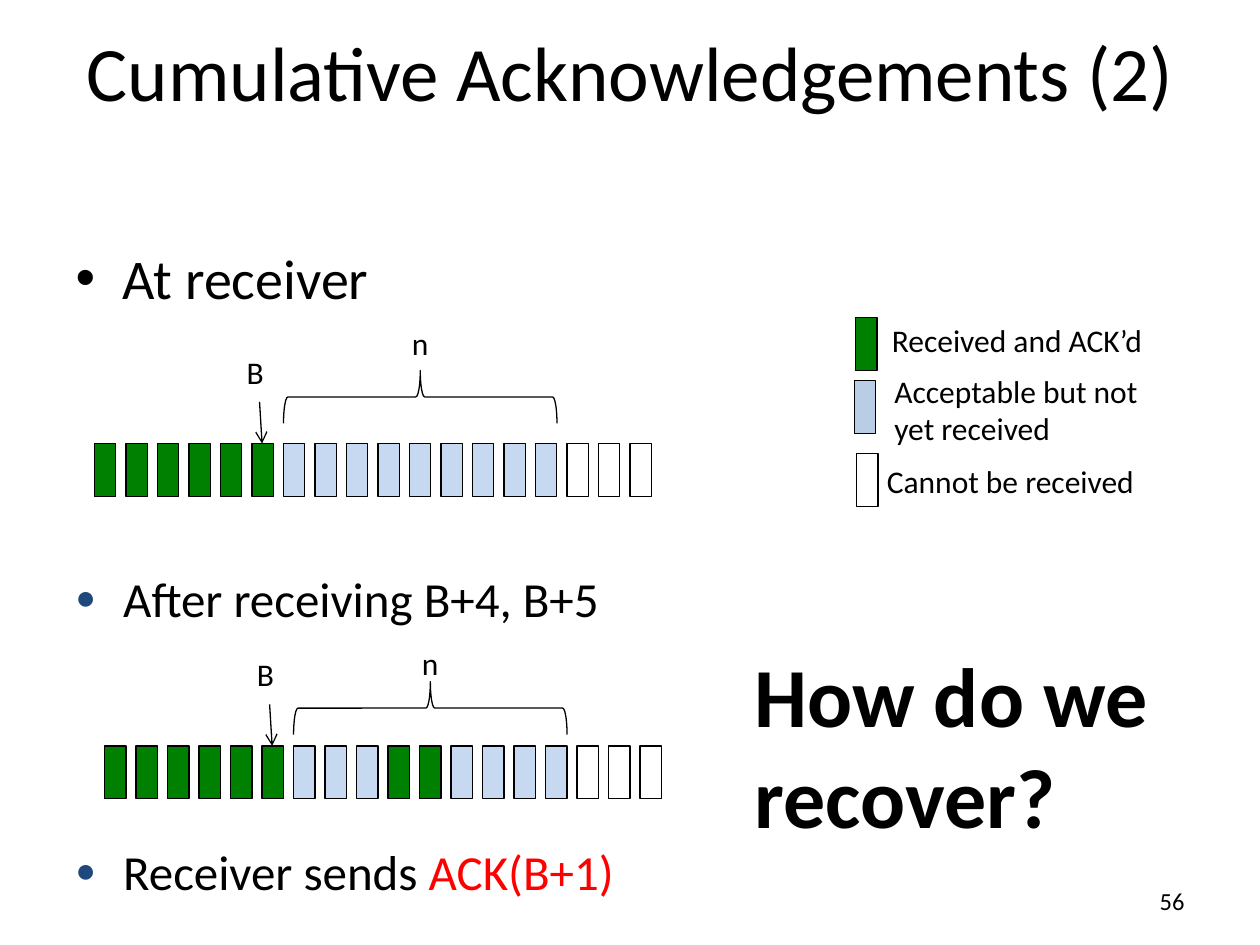
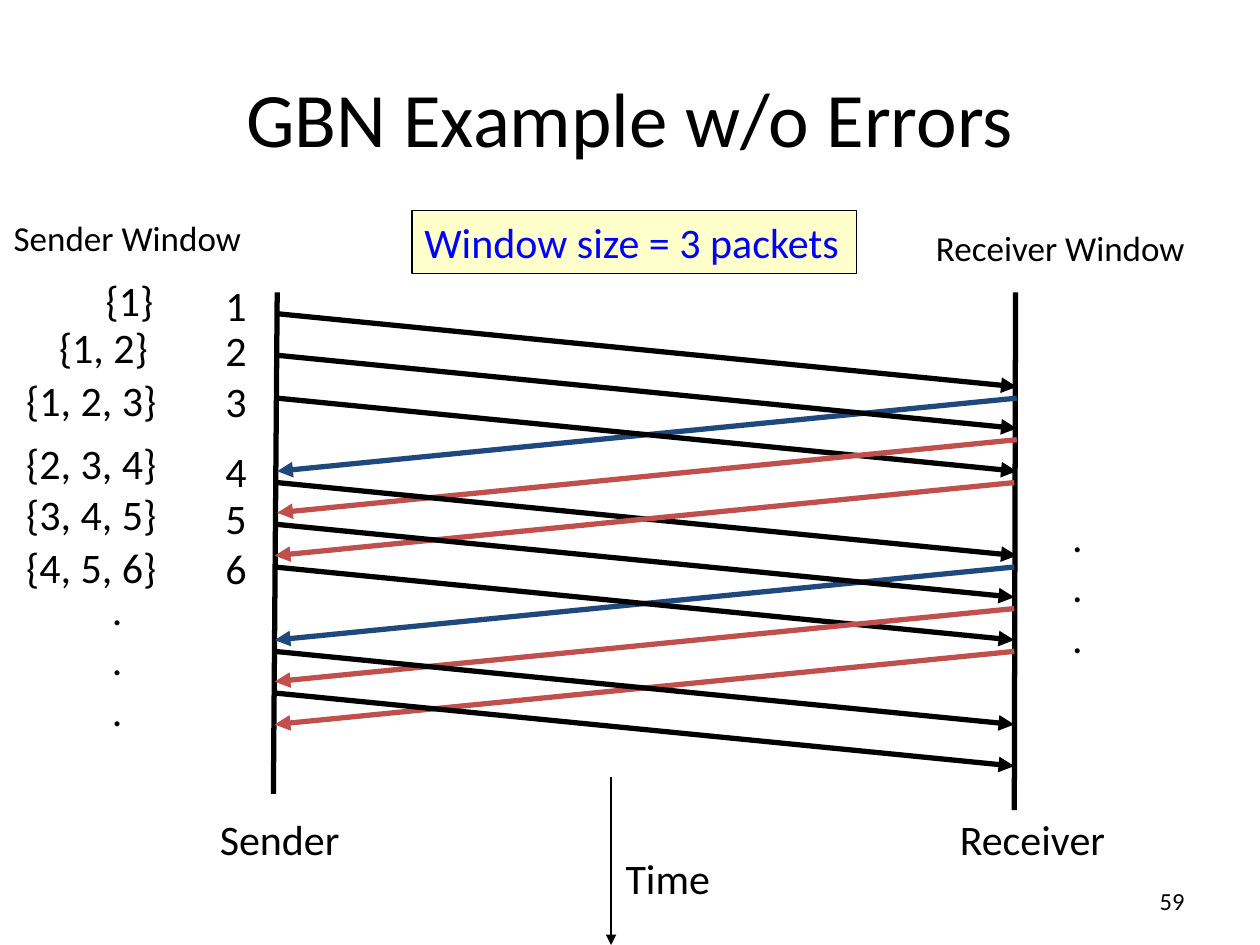
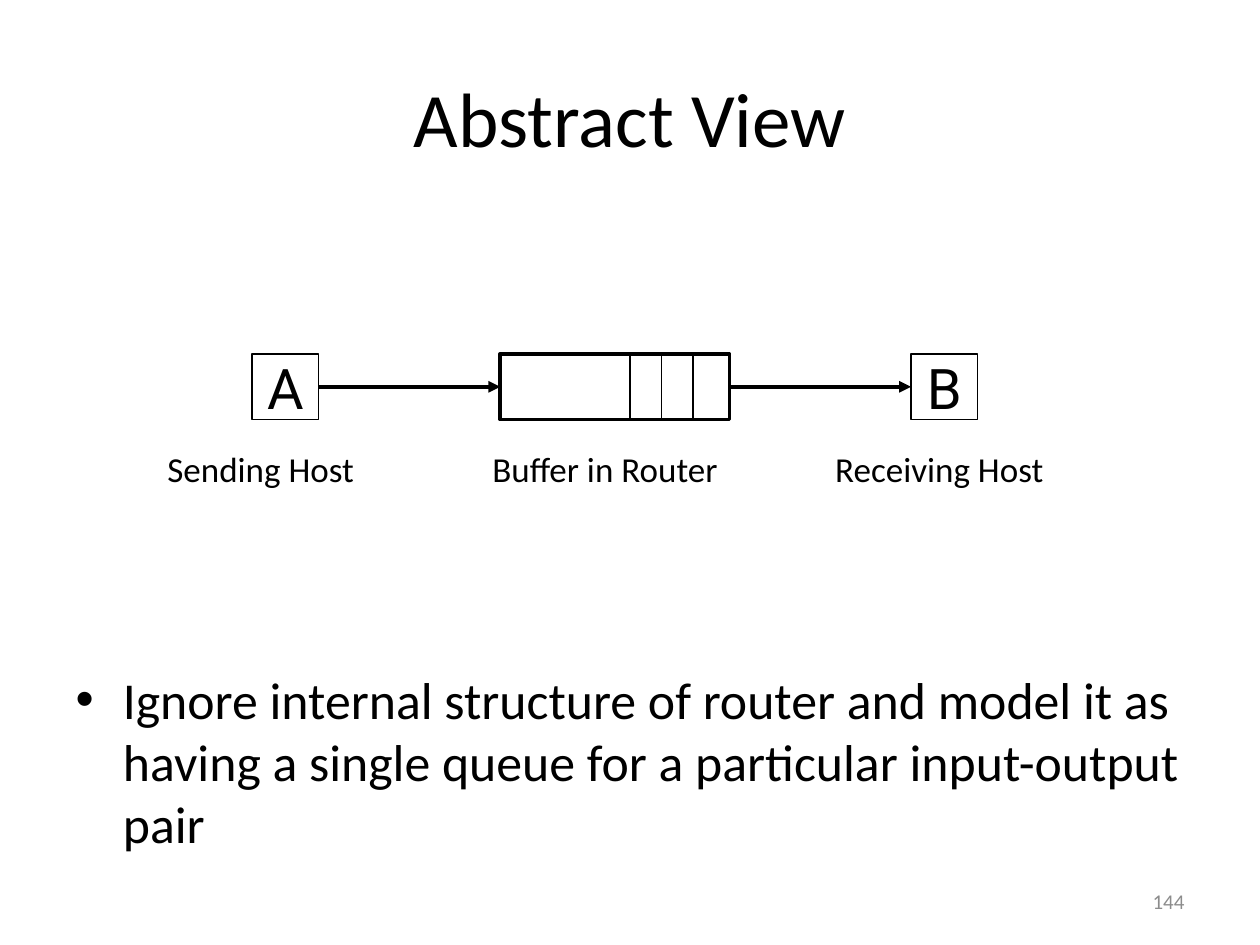
import pptx
import pptx.dml.color
import pptx.enum.shapes
import pptx.enum.text
import pptx.oxml.ns
import pptx.util
from lxml import etree

SCALE = 9144  # EMU per px, 100 px to the inch

BLACK, WHITE, GREY = "000000", "FFFFFF", "8C8C8C"
GREEN, PALE_BLUE, LEGEND_BLUE = "008000", "C6D9F1", "B9CDE5"
NAVY, BRICK, RED, BLUE, CREAM = "1F497D", "C0504D", "FF0000", "0000FF", "FFFFCC"

SHAPES = pptx.enum.shapes.MSO_SHAPE
ALIGN = pptx.enum.text.PP_ALIGN
ANCHOR = pptx.enum.text.MSO_ANCHOR
FIT = pptx.enum.text.MSO_AUTO_SIZE
TITLE_AND_BODY, TITLE_ONLY = 1, 5


def px(length):
    return pptx.util.Emu(round(length * SCALE))


def rgb(color):
    return pptx.dml.color.RGBColor.from_string(color)


def add_xml(parent, tag, **attributes):
    return etree.SubElement(parent, pptx.oxml.ns.qn(tag), attributes)


def assign(target, values):
    for name, value in values.items():
        setattr(target, name, value)


class Deck:
    font = "Calibri"

    def __init__(self):
        self.prs = pptx.Presentation()
        self.prs.slide_width, self.prs.slide_height = px(1000), px(750)
        self.slide = None

    def new_slide(self, layout, title, at=(50, 30, 900, 125)):
        self.slide = self.prs.slides.add_slide(self.prs.slide_layouts[layout])
        self.placeholder(0, title, at, 44, ANCHOR.MIDDLE, ALIGN.CENTER)

    def placeholder(self, index, text, at, size, anchor=ANCHOR.TOP, align=None):
        holder = self.slide.placeholders[index]
        assign(holder, dict(zip(("left", "top", "width", "height"), map(px, at))))
        frame = holder.text_frame
        assign(frame, {"auto_size": FIT.NONE, "vertical_anchor": anchor})
        self.set_text(frame, [text], size, align=align)
        frame.paragraphs[0].space_before = pptx.util.Pt(0)

    def page_number(self, number, size=14, color=BLACK):
        self.label(number, (717, 695, 233, 40), size, color, wrap=True,
                   anchor=ANCHOR.MIDDLE, align=ALIGN.RIGHT)

    # Text
    def style(self, run, size, color=BLACK, font=None, bold=None):
        assign(run.font, {"name": font or self.font, "size": pptx.util.Pt(size),
                          "bold": bold})
        run.font.color.rgb = rgb(color)

    def set_text(self, frame, lines, size, color=BLACK, font=None, bold=None, align=None):
        for number, line in enumerate(lines):
            paragraph = frame.add_paragraph() if number else frame.paragraphs[0]
            paragraph.text = line
            paragraph.alignment = align
            for run in paragraph.runs:
                self.style(run, size, color, font, bold)

    def label(self, text, at, size=18, color=BLACK, bold=None, wrap=False,
              anchor=ANCHOR.TOP, align=None):
        frame = self.slide.shapes.add_textbox(*map(px, at)).text_frame
        assign(frame, {"word_wrap": wrap, "vertical_anchor": anchor,
                       "auto_size": FIT.NONE if wrap else FIT.SHAPE_TO_FIT_TEXT})
        self.set_text(frame, text.split("\n"), size, color, bold=bold, align=align)
        return frame.paragraphs[0]

    def bullet(self, text, top):
        point = self.label(text, (50, top, 900, 62), 28, wrap=True)
        props = point._p.get_or_add_pPr()
        props.set("marL", str(px(38)))
        props.set("indent", str(px(-38)))
        add_xml(add_xml(props, "a:buClr"), "a:srgbClr", val=NAVY)
        add_xml(props, "a:buSzPct", val="70000")
        add_xml(props, "a:buFont", typeface="Arial")
        add_xml(props, "a:buChar", char="●")
        return point

    # Shapes and lines
    def shape(self, at, fill=None, weight=0.75, kind=SHAPES.RECTANGLE):
        shape = self.slide.shapes.add_shape(kind, *map(px, at))
        shape.shadow.inherit = False
        if fill:
            shape.fill.solid()
            shape.fill.fore_color.rgb = rgb(fill)
        else:
            shape.fill.background()
        shape.line.color.rgb = rgb(BLACK)
        shape.line.width = pptx.util.Pt(weight)
        return shape

    def box(self, text, at, fill, size, color=BLACK, font=None, align=ALIGN.CENTER,
            insets=(6, 3)):
        frame = self.shape(at, fill).text_frame
        side, end = map(px, insets)
        assign(frame, {"word_wrap": False, "vertical_anchor": ANCHOR.MIDDLE,
                       "margin_left": side, "margin_right": side,
                       "margin_top": end, "margin_bottom": end})
        self.set_text(frame, [text], size, color, font, align=align)

    def line(self, start, end, weight, color=BLACK, head=None):
        line = self.slide.shapes.add_connector(
            pptx.enum.shapes.MSO_CONNECTOR.STRAIGHT, *map(px, start + end))
        line.line.color.rgb = rgb(color)
        line.line.width = pptx.util.Pt(weight)
        props = line._element.spPr
        if head:
            add_xml(props.get_or_add_ln(), "a:tailEnd", type=head)
        add_xml(props, "a:effectLst")

    def packet(self, left, top, fill):
        self.shape((left, top, 17, 42), fill)

    def packet_row(self, left, top, fills, brace_top, n_top):
        pitch, first, count = 25, 6, 9
        for i, fill in enumerate(fills):
            self.packet(left + i * pitch, top, fill)
        # Window brace, turned to open downwards
        span, depth = (count - 1) * pitch + 17, 42
        middle = left + first * pitch + span / 2
        brace = self.shape((middle - depth / 2, brace_top + (depth - span) / 2, depth, span),
                           kind=SHAPES.LEFT_BRACE)
        brace.rotation = 90
        self.label("n", (left + 242, n_top, 33, 40))
        self.label("B", (left + 111, top - 77, 34, 40))
        self.line((left + 131, top - 33), (left + 133, top), 0.75, head="arrow")


def cumulative_acks(deck):
    deck.new_slide(TITLE_AND_BODY, "Cumulative Acknowledgements (2)", (42, -8, 917, 128))
    deck.placeholder(1, "At receiver", (50, 188, 900, 62), 32)

    before = [GREEN] * 6 + [PALE_BLUE] * 9 + [WHITE] * 3
    after = before[:9] + [GREEN] * 2 + before[11:]
    deck.packet_row(75, 352, before, 294, 252)

    # Legend
    legend = [
        (679, 252, GREEN, "Received and ACK’d", (698, 250, 221, 40)),
        (678, 302, LEGEND_BLUE, "Acceptable but not\vyet received", (700, 290, 215, 71)),
        (680, 360, WHITE, "Cannot be received", (694, 362, 218, 40)),
    ]
    for left, top, fill, meaning, at in legend:
        deck.packet(left, top, fill)
        deck.label(meaning, at)

    deck.bullet("After receiving B+4, B+5", 446)
    deck.packet_row(83, 592, after, 541, 506)
    reply = deck.bullet("Receiver sends ", 663)
    ack = reply.add_run()
    ack.text = "ACK(B+1)"
    deck.style(ack, 28, RED)
    deck.page_number("56")
    deck.label("How do we recover?", (589, 506, 344, 172), 48, bold=True, wrap=True)


def gbn_example(deck):
    deck.new_slide(TITLE_ONLY, "GBN Example w/o Errors")
    deck.line((485, 617), (485, 750), 1, head="triangle")
    deck.box("Window size = 3 packets", (327, 167, 353, 50), CREAM, 24, BLUE,
             align=ALIGN.LEFT, insets=(10, 5))
    for name, at in [("Time", (486, 672, 88, 50)), ("Sender", (164, 641, 116, 50)),
                     ("Receiver", (751, 641, 137, 50))]:
        deck.label(name, at, 24, anchor=ANCHOR.MIDDLE, align=ALIGN.CENTER)

    # Time lines, then packets and acks by time slot
    deck.line((220, 232), (217, 630), 3)
    deck.line((806, 232), (805, 643), 3)
    messages = "p0 a2 p1 p2 a3 p4 a4 a6 p5 p6 a7 a8 p8 p9".split()
    for i, (kind, slot) in enumerate(messages):
        shift = 0 if i < 6 else 2
        sent = 249 + int(slot) * 67 // 2
        sender, receiver = 220 - shift, 807 - shift
        if kind == "p":
            start, end, color = sender, receiver, BLACK
        else:
            start, end = receiver, sender
            color = NAVY if int(slot) % 4 == 2 else BRICK
        deck.line((start, sent), (end, sent + 58), 3, color, "triangle")

    # Sender window after each packet
    windows = [
        ("{1}", 74, 213, 59, 217),
        ("{1, 2}", 37, 250, 91, 253),
        ("{1, 2, 3}", 11, 292, 125, 293),
        ("{2, 3, 4}", 11, 342, 125, 349),
        ("{3, 4, 5}", 11, 383, 125, 386),
        ("{4, 5, 6}", 11, 425, 125, 426),
    ]
    for packet, (window, left, top, width, packet_top) in enumerate(windows, 1):
        deck.label(str(packet), (169, packet_top, 35, 49), 24)
        deck.label(window, (left, top, width, 50), 24)
    deck.label("Sender Window", (1, 167, 202, 43), 20)
    deck.label("Receiver Window", (733, 175, 219, 43), 20)
    for left, top in [(79, 458), (841, 400)]:
        deck.label(".\n.\n.", (left, top, 28, 131), 24)
    deck.page_number("59")


def abstract_view(deck):
    deck.new_slide(TITLE_AND_BODY, "Abstract View")
    deck.placeholder(1, "Ignore internal structure of router and model it as having "
                     "a single queue for a particular input-output pair",
                     (50, 175, 900, 508), 29.6, ANCHOR.BOTTOM)
    for name, left, width in [("Sending Host", 123, 188), ("Buffer in Router", 381, 216),
                              ("Receiving Host", 653, 209)]:
        deck.label(name, (left, 350, width, 43), 20)

    # Hosts, buffer and links
    for host, left in [("A", 200), ("B", 723)]:
        deck.box(host, (left, 281, 53, 52), WHITE, 32, font="Roboto")
    deck.shape((397, 281, 182, 52), WHITE, 2.25)
    for start, end in [(253, 397), (579, 723)]:
        deck.line((start, 307), (end, 307), 2.25, head="triangle")
    for queued in (550, 525, 500):
        deck.line((queued, 280), (queued, 333), 1)
    deck.page_number("144", 12, GREY)


def main():
    deck = Deck()
    cumulative_acks(deck)
    gbn_example(deck)
    abstract_view(deck)
    deck.prs.save("out.pptx")


if __name__ == "__main__":
    main()
